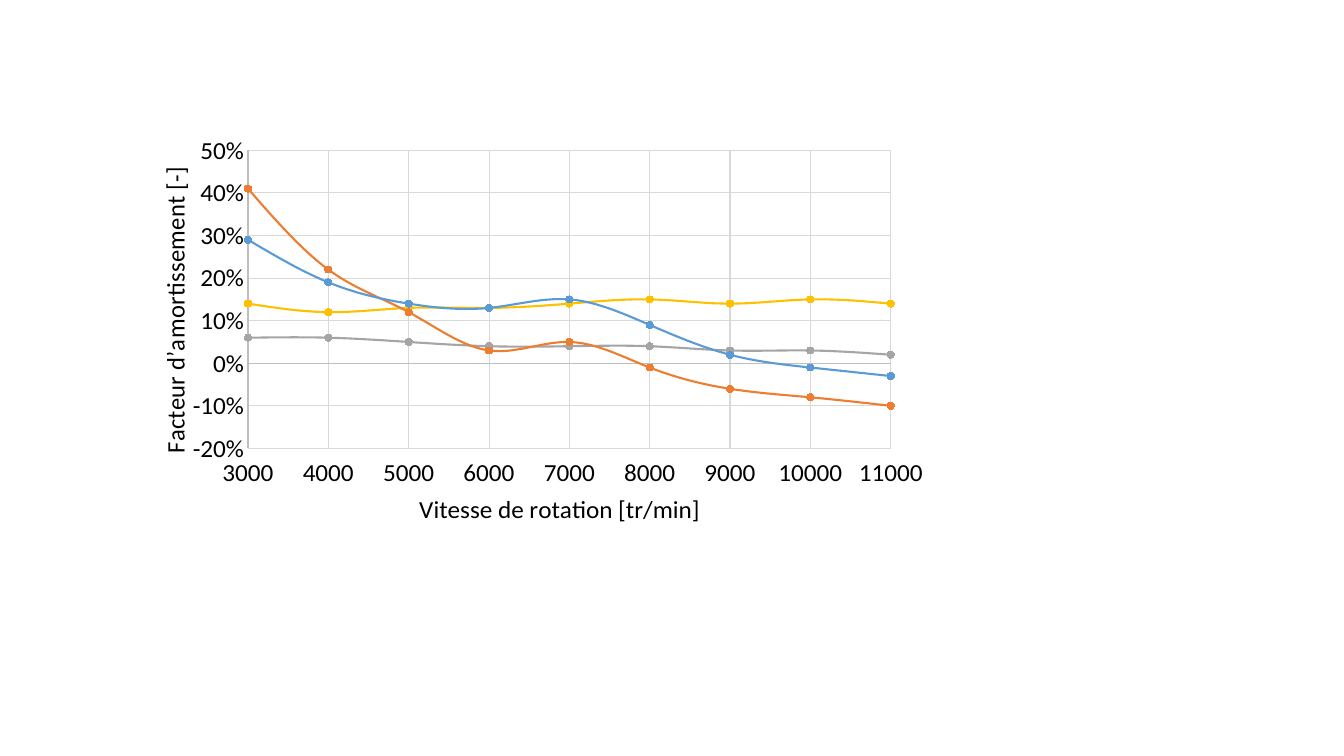
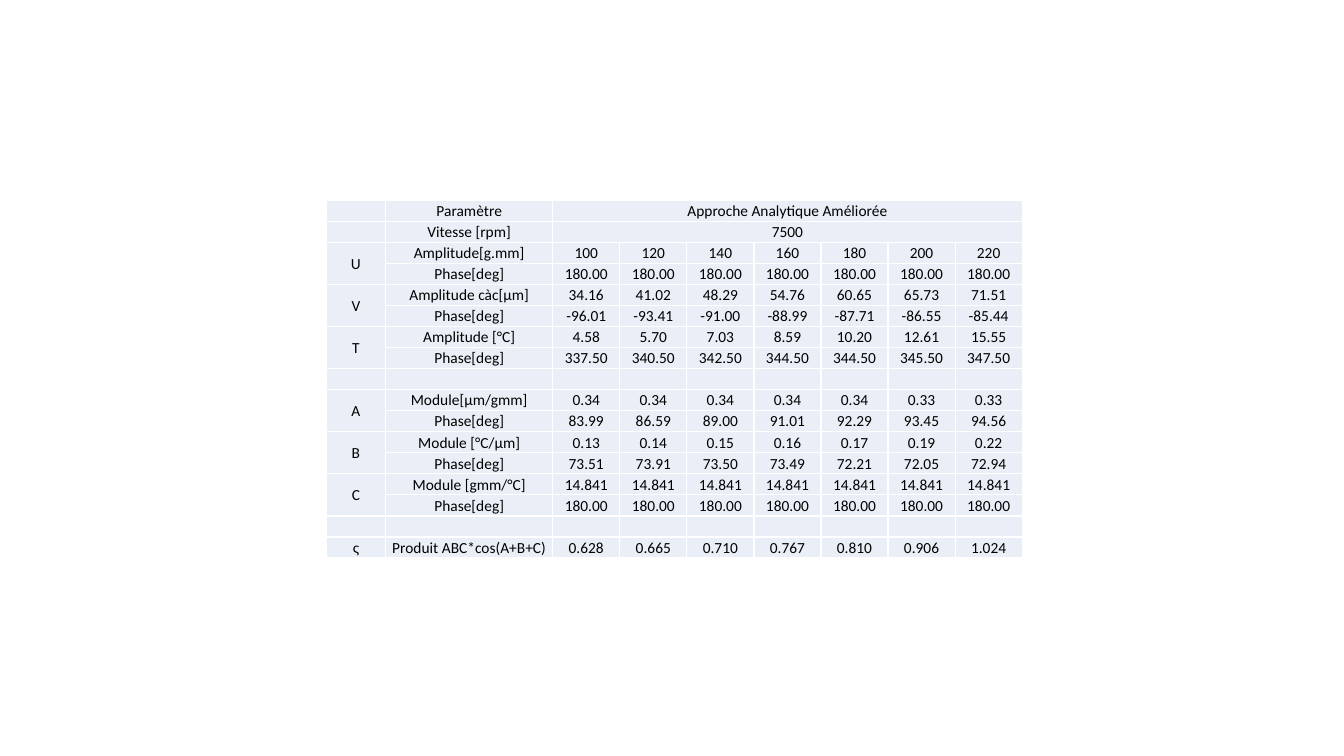
from dataclasses import dataclass

from lxml import etree
from pptx import Presentation
from pptx.chart.data import XyChartData
from pptx.dml.color import RGBColor
from pptx.enum.chart import XL_CHART_TYPE, XL_MARKER_STYLE, XL_TICK_LABEL_POSITION, XL_TICK_MARK
from pptx.enum.text import MSO_ANCHOR, PP_ALIGN
from pptx.oxml.ns import qn
from pptx.util import Cm, Pt

SMOOTH_SCATTER = XL_CHART_TYPE.XY_SCATTER_SMOOTH
CIRCLE = XL_MARKER_STYLE.CIRCLE
LABELS_LOW = XL_TICK_LABEL_POSITION.LOW
LABELS_NEXT_TO_AXIS = XL_TICK_LABEL_POSITION.NEXT_TO_AXIS
NO_TICK = XL_TICK_MARK.NONE
MIDDLE = MSO_ANCHOR.MIDDLE
CENTER = PP_ALIGN.CENTER

FONT = "Calibri"
BLACK = "000000"
WHITE = "FFFFFF"
AXIS_GREY = "BFBFBF"
GRID_GREY = "D9D9D9"
CELL_BLUE = "EAEFF7"
CHART_SIZE = 18
TABLE_SIZE = 11
BLANK_LAYOUT = 6

COLUMN_WIDTHS = [1.5, 4.21] + [1.69] * 7
ROW_HEIGHT = 0.53
SPEEDS = range(3000, 12000, 1000)


@dataclass(frozen=True)
class Curve:
    name: str
    color: str
    damping: tuple[float, ...]


@dataclass(frozen=True)
class AxisStyle:
    title: str
    minimum: float
    maximum: float
    step: float
    number_format: str
    label_position: int
    title_layout: dict[str, float]
    title_rotation: int


@dataclass(frozen=True)
class Row:
    symbol: str
    parameter: str
    values: tuple[str, ...]
    symbol_span: int = 1


CURVES = [
    Curve("Series 1", "5B9BD5", (0.29, 0.19, 0.14, 0.13, 0.15, 0.09, 0.02, -0.01, -0.03)),
    Curve("Series 2", "ED7D31", (0.41, 0.22, 0.12, 0.03, 0.05, -0.01, -0.06, -0.08, -0.1)),
    Curve("Series 3", "A5A5A5", (0.06, 0.06, 0.05, 0.04, 0.04, 0.04, 0.03, 0.03, 0.02)),
    Curve("Series 4", "FFC000", (0.14, 0.12, 0.13, 0.13, 0.14, 0.15, 0.14, 0.15, 0.14)),
]

SPEED_AXIS = AxisStyle("Vitesse de rotation [tr/min]", 3000, 11000, 1000, "General",
                       LABELS_LOW, {"x": 0.35, "y": 0.91}, 0)
DAMPING_AXIS = AxisStyle("Facteur d’amortissement [-]", -0.2, 0.5, 0.1, "0%",
                         LABELS_NEXT_TO_AXIS, {"x": 0.02, "y": 0.09}, -5400000)

OPPOSITE_PHASE = ("180.00",) * 7
EMPTY_ROW = Row("", "", ())
ROWS = [
    Row("", "Paramètre", ("Approche Analytique Améliorée",)),
    Row("", "Vitesse [rpm]", ("7500",)),
    Row("U", "Amplitude[g.mm]", ("100", "120", "140", "160", "180", "200", "220"), 2),
    Row("", "Phase[deg]", OPPOSITE_PHASE),
    Row("V", "Amplitude càc[µm]", ("34.16", "41.02", "48.29", "54.76", "60.65", "65.73", "71.51"), 2),
    Row("", "Phase[deg]", ("-96.01", "-93.41", "-91.00", "-88.99", "-87.71", "-86.55", "-85.44")),
    Row("T", "Amplitude [°C]", ("4.58", "5.70", "7.03", "8.59", "10.20", "12.61", "15.55"), 2),
    Row("", "Phase[deg]", ("337.50", "340.50", "342.50", "344.50", "344.50", "345.50", "347.50")),
    EMPTY_ROW,
    Row("A", "Module[µm/gmm]", ("0.34", "0.34", "0.34", "0.34", "0.34", "0.33", "0.33"), 2),
    Row("", "Phase[deg]", ("83.99", "86.59", "89.00", "91.01", "92.29", "93.45", "94.56")),
    Row("B", "Module [°C/µm]", ("0.13", "0.14", "0.15", "0.16", "0.17", "0.19", "0.22"), 2),
    Row("", "Phase[deg]", ("73.51", "73.91", "73.50", "73.49", "72.21", "72.05", "72.94")),
    Row("C", "Module [gmm/°C]", ("14.841",) * 7, 2),
    Row("", "Phase[deg]", OPPOSITE_PHASE),
    EMPTY_ROW,
    Row("ς", "Produit ABC*cos(A+B+C)", ("0.628", "0.665", "0.710", "0.767", "0.810", "0.906", "1.024")),
]


def color(value: str) -> RGBColor:
    return RGBColor.from_string(value)


def format_font(font, size: float) -> None:
    font.name = FONT
    font.size = Pt(size)
    font.bold = False
    font.color.rgb = color(BLACK)


def format_line(line, line_color: str, width: float) -> None:
    line.color.rgb = color(line_color)
    line.width = Pt(width)


def set_layout(element, layout_values: dict[str, float], inner: bool = False) -> None:
    for old_layout in element.findall(qn("c:layout")):
        element.remove(old_layout)
    layout = etree.Element(qn("c:layout"))
    manual = etree.SubElement(layout, qn("c:manualLayout"))
    if inner:
        etree.SubElement(manual, qn("c:layoutTarget")).set("val", "inner")
    for mode in ("xMode", "yMode"):
        etree.SubElement(manual, qn(f"c:{mode}")).set("val", "edge")
    for name, value in layout_values.items():
        etree.SubElement(manual, qn(f"c:{name}")).set("val", str(value))
    text = element.find(qn("c:tx"))
    element.insert(0 if text is None else element.index(text) + 1, layout)


def format_axis(axis, style: AxisStyle) -> None:
    axis.minimum_scale = style.minimum
    axis.maximum_scale = style.maximum
    axis.major_unit = style.step
    axis.major_tick_mark = NO_TICK
    axis.minor_tick_mark = NO_TICK
    axis.tick_label_position = style.label_position
    axis.tick_labels.number_format = style.number_format
    axis.tick_labels.number_format_is_linked = False
    format_font(axis.tick_labels.font, CHART_SIZE)
    format_line(axis.format.line, AXIS_GREY, 0.75)
    axis.has_major_gridlines = True
    format_line(axis.major_gridlines.format.line, GRID_GREY, 0.75)
    text_frame = axis.axis_title.text_frame
    run = text_frame.paragraphs[0].add_run()
    run.text = style.title
    format_font(run.font, CHART_SIZE)
    body = text_frame._txBody.find(qn("a:bodyPr"))
    body.set("rot", str(style.title_rotation))
    body.set("vert", "horz")
    set_layout(axis.axis_title._element, style.title_layout)


def add_damping_chart(slide) -> None:
    data = XyChartData()
    for curve in CURVES:
        points = data.add_series(curve.name)
        for speed, damping in zip(SPEEDS, curve.damping):
            points.add_data_point(speed, damping)
    chart = slide.shapes.add_chart(SMOOTH_SCATTER, Cm(3.45), Cm(3.4), Cm(20), Cm(10), data).chart
    chart.has_title = False
    chart.has_legend = False
    format_font(chart.font, CHART_SIZE)
    chart.plots[0].vary_by_categories = False
    format_axis(chart.category_axis, SPEED_AXIS)
    format_axis(chart.value_axis, DAMPING_AXIS)
    plot_area = chart._chartSpace.find(".//" + qn("c:plotArea"))
    set_layout(plot_area, {"x": 0.14, "y": 0.04, "w": 0.81, "h": 0.77}, inner=True)
    for series, curve in zip(chart.plots[0].series, CURVES):
        format_line(series.format.line, curve.color, 1.5)
        series._element.get_or_add_smooth().set("val", "1")
        series.marker.style = CIRCLE
        series.marker.size = 5
        series.marker.format.fill.solid()
        series.marker.format.fill.fore_color.rgb = color(curve.color)
        format_line(series.marker.format.line, curve.color, 0.75)


def add_cell_borders(cell) -> None:
    properties = cell._tc.get_or_add_tcPr()
    for index, side in enumerate(("lnL", "lnR", "lnT", "lnB")):
        line = etree.Element(qn(f"a:{side}"), w=str(Pt(1)))
        fill = etree.SubElement(line, qn("a:solidFill"))
        etree.SubElement(fill, qn("a:srgbClr")).set("val", WHITE)
        properties.insert(index, line)


def fill_cell(cell, text: str) -> None:
    cell.fill.solid()
    cell.fill.fore_color.rgb = color(CELL_BLUE)
    cell.margin_left = cell.margin_right = cell.margin_top = Cm(0.02)
    cell.margin_bottom = Cm(0)
    cell.vertical_anchor = MIDDLE
    add_cell_borders(cell)
    paragraph = cell.text_frame.paragraphs[0]
    paragraph.alignment = CENTER
    if text:
        run = paragraph.add_run()
        run.text = text
        format_font(run.font, TABLE_SIZE)
    else:
        etree.SubElement(paragraph._p, qn("a:endParaRPr")).set("sz", str(TABLE_SIZE * 100))


def add_parameter_table(slide) -> None:
    column_count = len(COLUMN_WIDTHS)
    frame = slide.shapes.add_table(len(ROWS), column_count, Cm(8.22), Cm(5.05),
                                   Cm(sum(COLUMN_WIDTHS)), Cm(ROW_HEIGHT * len(ROWS)))
    table = frame.table
    table.first_row = False
    table.horz_banding = False
    for column, width in zip(table.columns, COLUMN_WIDTHS):
        column.width = Cm(width)
    for row_index, row in enumerate(ROWS):
        table.rows[row_index].height = Cm(ROW_HEIGHT)
        texts = [row.symbol, row.parameter, *row.values]
        texts += [""] * (column_count - len(texts))
        for column_index, text in enumerate(texts):
            fill_cell(table.cell(row_index, column_index), text)
        if len(row.values) == 1:
            table.cell(row_index, 2).merge(table.cell(row_index, column_count - 1))
        if row.symbol_span > 1:
            table.cell(row_index, 0).merge(table.cell(row_index + row.symbol_span - 1, 0))


def main() -> None:
    presentation = Presentation()
    presentation.slide_width = Cm(33.87)
    presentation.slide_height = Cm(19.05)
    for add_content in (add_damping_chart, add_parameter_table):
        slide = presentation.slides.add_slide(presentation.slide_layouts[BLANK_LAYOUT])
        add_content(slide)
    presentation.save("out.pptx")


if __name__ == "__main__":
    main()
